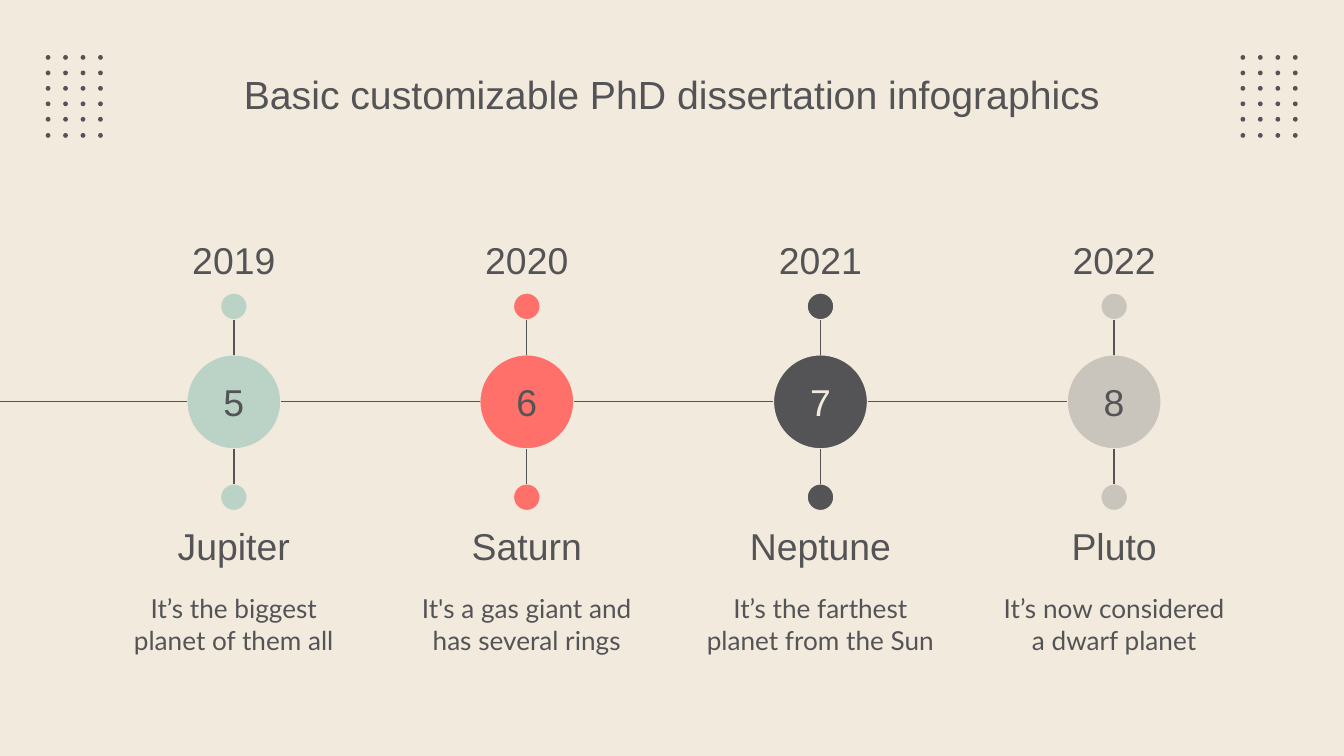
from dataclasses import dataclass

from lxml.etree import SubElement
from pptx import Presentation
from pptx.dml.color import RGBColor
from pptx.enum.shapes import MSO_CONNECTOR as Connector, MSO_SHAPE as Shape
from pptx.enum.text import MSO_ANCHOR as Anchor, PP_ALIGN as Align
from pptx.oxml.ns import qn
from pptx.shapes.autoshape import Shape as Box
from pptx.shapes.shapetree import GroupShapes, SlideShapes
from pptx.util import Emu, Pt

EMU_PER_PX = 4572  # 200 px to the inch


@dataclass(frozen=True)
class Theme:
    paper: str = "F2EADD"
    ink: str = "545457"
    sage: str = "BBD3C7"
    coral: str = "FF706B"
    stone: str = "CAC5BC"
    heading_font: str = "Arial"
    body_font: str = "Lato"
    title_size: int = 21
    heading_size: int = 20
    body_size: int = 14
    line_width: float = 0.75


@dataclass(frozen=True)
class Milestone:
    year: str
    number: str
    planet: str
    note: str
    fill: str
    number_color: str


THEME = Theme()
MILESTONES = [
    Milestone("2019", "5", "Jupiter", "It’s the biggest planet of them all", THEME.sage, THEME.ink),
    Milestone("2020", "6", "Saturn", "It's a gas giant and has several rings", THEME.coral, THEME.ink),
    Milestone("2021", "7", "Neptune", "It’s the farthest planet from the Sun", THEME.ink, THEME.paper),
    Milestone("2022", "8", "Pluto", "It’s now considered a dwarf planet", THEME.stone, THEME.ink),
]

# Timeline geometry in px
FIRST_CENTER, CENTER_SPAN = 348, 1310
AXIS_Y, RADIUS = 598, 70
DOT, DOT_OFFSET = 40, 142  # end dot size, and its centre's distance from the axis
INSET = 20


def px(value: int) -> Emu:
    return Emu(value * EMU_PER_PX)


def rgb(value: str) -> RGBColor:
    return RGBColor.from_string(value)


def write(box: Box, text: str, size: int, font: str = THEME.heading_font,
          color: str = THEME.ink, anchor: Anchor = Anchor.MIDDLE,
          top_inset: int = INSET) -> None:
    frame = box.text_frame
    frame.word_wrap = True
    frame.vertical_anchor = anchor
    frame.margin_left = frame.margin_right = frame.margin_bottom = px(INSET)
    frame.margin_top = px(top_inset)
    para = frame.paragraphs[0]
    para.alignment = Align.CENTER
    span = para.add_run()
    span.text = text
    span.font.name = font
    span.font.size = Pt(size)
    span.font.color.rgb = rgb(color)


def add_text(shapes: SlideShapes, center: int, top: int, width: int, height: int) -> Box:
    return shapes.add_textbox(px(center - width // 2), px(top), px(width), px(height))


def add_circle(shapes: SlideShapes | GroupShapes, left: int, top: int, size: int,
               fill: str, outline: str | None = None) -> Box:
    circle = shapes.add_shape(Shape.OVAL, px(left), px(top), px(size), px(size))
    circle.shadow.inherit = False
    circle.fill.solid()
    circle.fill.fore_color.rgb = rgb(fill)
    if outline:
        circle.line.color.rgb = rgb(outline)
        circle.line.width = Pt(THEME.line_width)
    else:
        circle.line.fill.background()
    return circle


def add_line(shapes: SlideShapes, x1: int, y1: int, x2: int, y2: int) -> None:
    line = shapes.add_connector(Connector.STRAIGHT, px(x1), px(y1), px(x2), px(y2))
    line.line.color.rgb = rgb(THEME.ink)
    line.line.width = Pt(THEME.line_width)
    SubElement(line._element.spPr, qn("a:effectLst"))


def add_dot_grid(shapes: SlideShapes, left: int) -> None:
    grid = shapes.add_group_shape().shapes
    for row in range(6):
        for column in range(4):
            add_circle(grid, left + 26 * column, 82 + 116 * row // 5, 7, THEME.ink)


def add_milestone(shapes: SlideShapes, item: Milestone, center: int) -> None:
    # Year above, planet and note below
    write(add_text(shapes, center, 336, 240, 100), item.year, THEME.heading_size)
    write(add_text(shapes, center, 762, 380, 100), item.planet, THEME.heading_size)
    write(add_text(shapes, center, 862, 380, 140), item.note, THEME.body_size,
          font=THEME.body_font, anchor=Anchor.TOP)

    # Numbered circle
    circle = add_circle(shapes, center - RADIUS, AXIS_Y - RADIUS, 2 * RADIUS,
                        item.fill, THEME.paper)
    write(circle, item.number, THEME.heading_size, color=item.number_color)

    # End dots and their stems
    for side in (-1, 1):
        dot_center = AXIS_Y + side * DOT_OFFSET
        add_circle(shapes, center - DOT // 2, dot_center - DOT // 2, DOT,
                   item.fill, THEME.paper)
        add_line(shapes, center, AXIS_Y + side * RADIUS,
                 center, dot_center - side * DOT // 2)


def main() -> None:
    deck = Presentation()
    deck.slide_width, deck.slide_height = px(2000), px(1125)
    page = deck.slides.add_slide(deck.slide_layouts[6])
    page.background.fill.solid()
    page.background.fill.fore_color.rgb = rgb(THEME.paper)

    # Corner dots and title
    for left in (68, 1846):
        add_dot_grid(page.shapes, left)
    write(add_text(page.shapes, 1000, 80, 1686, 126),
          "Basic customizable PhD dissertation infographics",
          THEME.title_size, top_inset=14)

    # Timeline: each axis segment runs from the previous circle to the next
    segment_start = 0
    for index, item in enumerate(MILESTONES):
        center = FIRST_CENTER + CENTER_SPAN * index // (len(MILESTONES) - 1)
        add_milestone(page.shapes, item, center)
        add_line(page.shapes, segment_start, AXIS_Y, center - RADIUS, AXIS_Y)
        segment_start = center + RADIUS

    deck.save("out.pptx")


if __name__ == "__main__":
    main()
